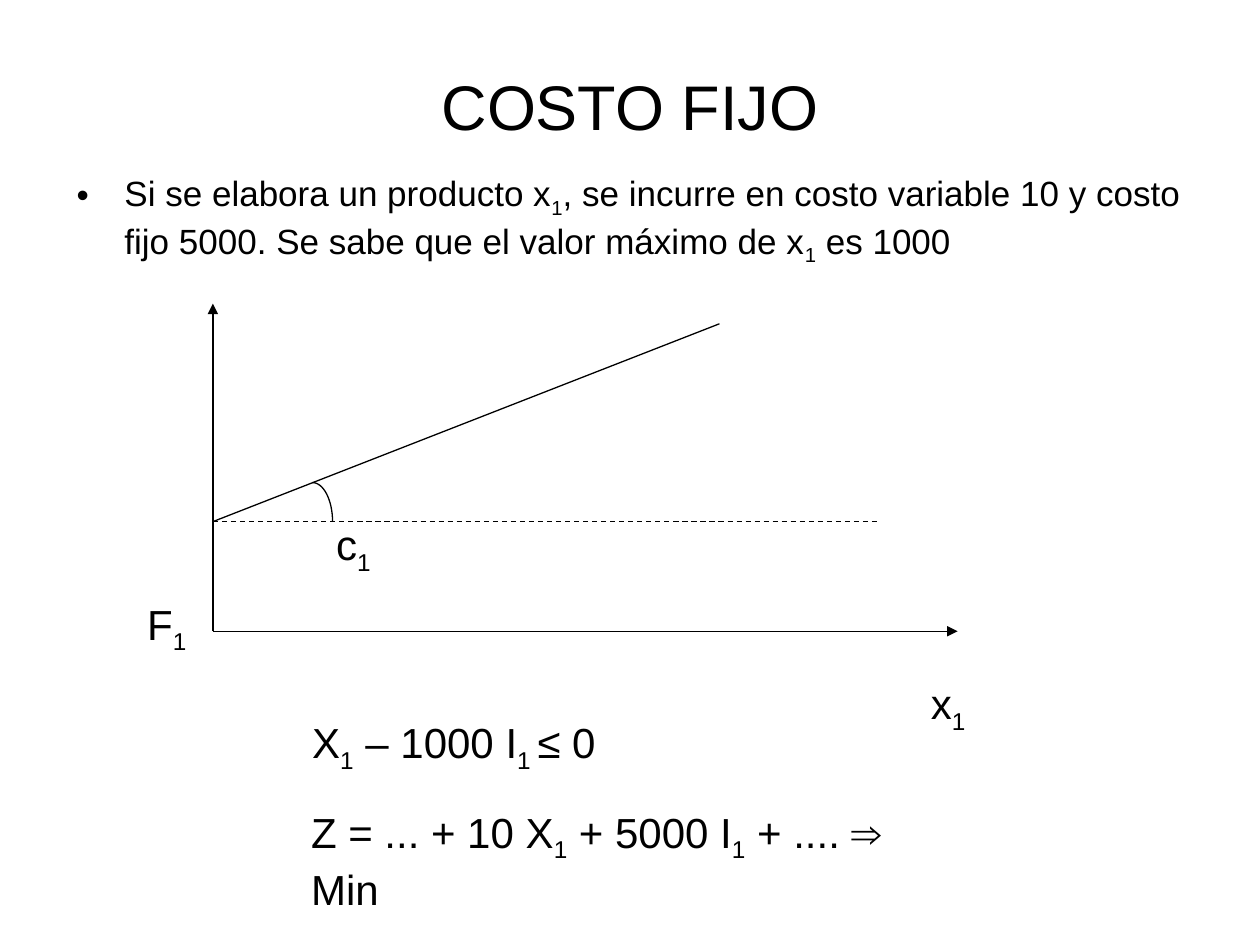
from dataclasses import dataclass
from math import cos, pi, sin

from lxml.etree import SubElement
from pptx import Presentation
from pptx.dml.color import RGBColor
from pptx.enum.dml import MSO_LINE
from pptx.enum.shapes import MSO_CONNECTOR
from pptx.enum.text import MSO_ANCHOR, MSO_AUTO_SIZE, PP_ALIGN
from pptx.oxml.ns import qn
from pptx.util import Inches, Pt

FONT = "Arial"
BLACK = "000000"
SUB = -25000  # subscript offset, thousandths of a percent

# Key places of the graph, in inches
AXIS_X, AXIS_Y = 1.69, 5.01
FIXED_Y = 4.14  # height of the fixed cost


@dataclass
class Line:
    start: tuple[float, float]
    end: tuple[float, float]
    arrow: bool = False
    dashed: bool = False


@dataclass
class Label:
    left: float
    top: float
    width: float
    texts: list[str]  # normal text and subscripts in turn


def rgb(value: str) -> RGBColor:
    return RGBColor.from_string(value)


def add_runs(p, texts: list[str], size: float) -> None:
    """Write the texts in turn; every second one is a subscript."""
    for i, text in enumerate(texts):
        r = p.add_run()
        r.text = text
        r.font.name = FONT
        r.font.size = Pt(size)
        r.font.color.rgb = rgb(BLACK)
        if i % 2:
            r._r.get_or_add_rPr().set("baseline", str(SUB))


def add_text(s, left: float, top: float, width: float, height: float,
             texts: list[str], size: float, wrap: bool = True):
    sp = s.shapes.add_textbox(Inches(left), Inches(top), Inches(width), Inches(height))
    tf = sp.text_frame
    tf.word_wrap = wrap
    add_runs(tf.paragraphs[0], texts, size)
    return tf


def add_label(s, label: Label) -> None:
    tf = add_text(s, label.left, label.top, label.width, 0.56, label.texts, 24, wrap=False)
    tf.auto_size = MSO_AUTO_SIZE.SHAPE_TO_FIT_TEXT


def style_line(line) -> None:
    line.color.rgb = rgb(BLACK)
    line.width = Pt(0.75)


def add_line(s, line: Line) -> None:
    points = [Inches(v) for v in (*line.start, *line.end)]
    sp = s.shapes.add_connector(MSO_CONNECTOR.STRAIGHT, *points)
    style_line(sp.line)
    spPr = sp._element.spPr
    if line.dashed:
        sp.line.dash_style = MSO_LINE.DASH
    if line.arrow:
        SubElement(spPr.find(qn("a:ln")), qn("a:tailEnd"), type="triangle")
    SubElement(spPr, qn("a:effectLst"))


def add_angle(s, cx: float, cy: float, rx: float, ry: float, steps: int = 16) -> None:
    """Draw the upper right quarter of an ellipse."""
    angles = [pi / 2 * (1 - i / steps) for i in range(steps + 1)]
    points = [(Inches(cx + rx * cos(a)), Inches(cy - ry * sin(a))) for a in angles]
    builder = s.shapes.build_freeform(*points[0])
    builder.add_line_segments(points[1:], close=False)
    sp = builder.convert_to_shape()
    sp.shadow.inherit = False
    sp.fill.background()
    style_line(sp.line)


LINES = [
    Line((AXIS_X, AXIS_Y), (AXIS_X, 2.41), arrow=True),
    Line((AXIS_X, AXIS_Y), (7.6, AXIS_Y), arrow=True),
    Line((AXIS_X, FIXED_Y), (6.97, FIXED_Y), dashed=True),
    Line((AXIS_X, FIXED_Y), (5.71, 2.57)),
]

LABELS = [
    Label(1.07, 4.3, 0.6, [" F", "1"]),
    Label(2.57, 3.67, 0.56, [" c", "1"]),
    Label(2.38, 5.64, 2.57, ["X", "1", " – 1000 I", "1 ", "≤ 0"]),
    Label(2.37, 6.35, 5.35, ["Z = ... + 10 X", "1", " + 5000 I", "1", " + .... ⇒ Min"]),
    Label(7.29, 4.93, 0.56, [" x", "1"]),
]


def main() -> None:
    prs = Presentation()
    prs.slide_width, prs.slide_height = Inches(10), Inches(7.5)
    s = prs.slides.add_slide(prs.slide_layouts[6])

    # Title
    tf = add_text(s, 0.5, 0.44, 9, 0.79, ["COSTO FIJO"], 36)
    tf.vertical_anchor = MSO_ANCHOR.MIDDLE
    tf.paragraphs[0].alignment = PP_ALIGN.CENTER

    # Bulleted statement
    tf = add_text(s, 0.51, 1.31, 9, 5.71, [
        "Si se elabora un producto x", "1",
        ", se incurre en costo variable 10 y costo fijo 5000. "
        "Se sabe que el valor máximo de x", "1", " es 1000"], 20)
    pPr = tf.paragraphs[0]._p.get_or_add_pPr()
    pPr.set("marL", str(Inches(0.38)))
    pPr.set("indent", str(Inches(-0.38)))
    SubElement(pPr, qn("a:buFont"), typeface=FONT)
    SubElement(pPr, qn("a:buChar"), char="•")

    # Cost graph
    for line in LINES:
        add_line(s, line)
    add_angle(s, 2.48, FIXED_Y, 0.16, 0.31)

    # Graph labels and formulas
    for label in LABELS:
        add_label(s, label)

    prs.save("out.pptx")


if __name__ == "__main__":
    main()
